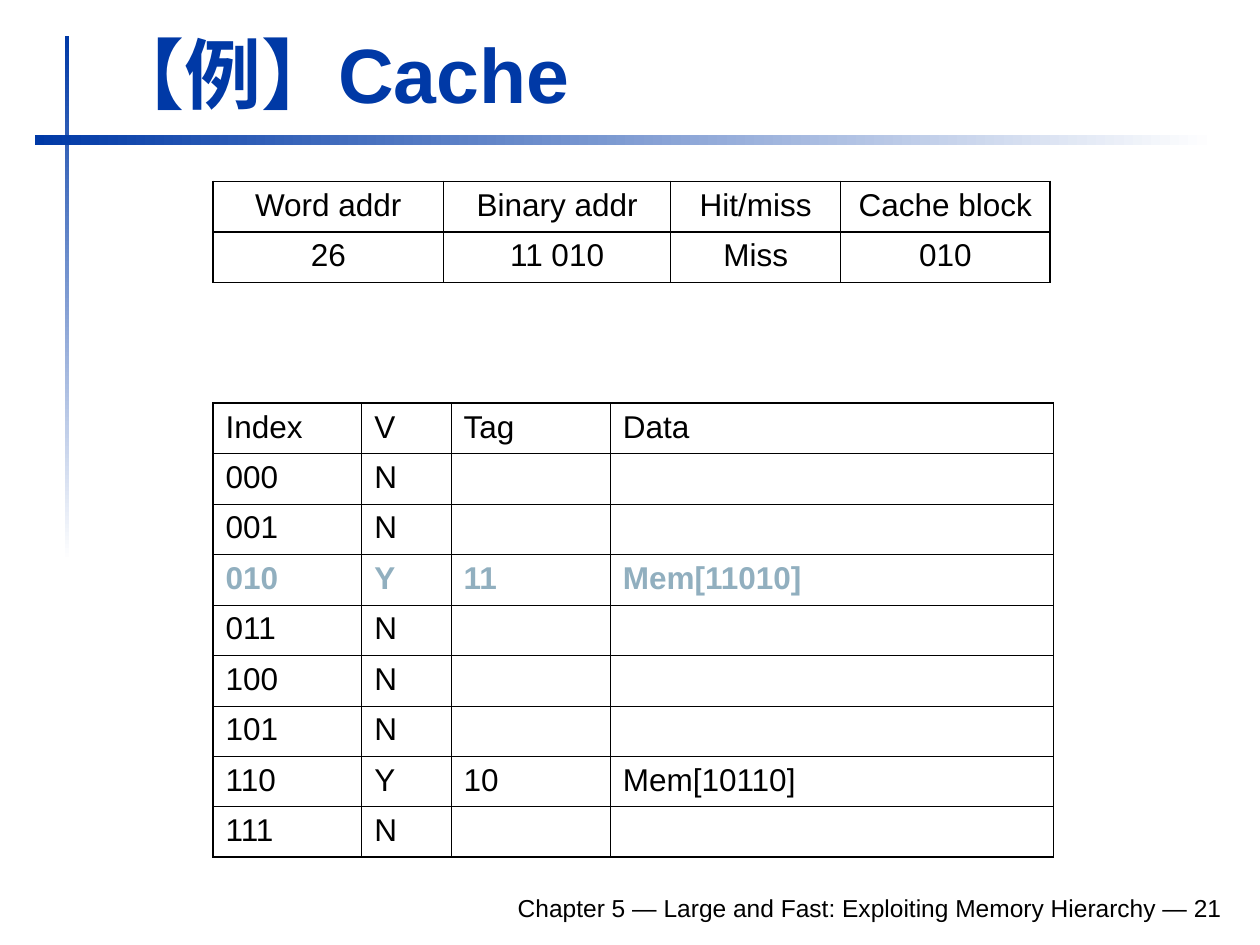
"""Build the cache example slide with an access table and the cache contents."""
from dataclasses import dataclass

from lxml import etree
from pptx import Presentation
from pptx.dml.color import RGBColor
from pptx.enum.shapes import MSO_SHAPE
from pptx.enum.text import MSO_ANCHOR, MSO_AUTO_SIZE, PP_ALIGN
from pptx.oxml.ns import qn
from pptx.util import Pt

RECTANGLE = MSO_SHAPE.RECTANGLE
BOTTOM = MSO_ANCHOR.BOTTOM
GROW = MSO_AUTO_SIZE.SHAPE_TO_FIT_TEXT
LEFT, CENTER, RIGHT = PP_ALIGN.LEFT, PP_ALIGN.CENTER, PP_ALIGN.RIGHT
TITLE_ONLY = 5
DOWNWARD, RIGHTWARD = 270, 0


@dataclass(frozen=True)
class Theme:
    """Colours, font, type sizes and line widths in points."""
    font: str = "Arial"
    blue: str = "0039A6"
    white: str = "FFFFFF"
    black: str = "000000"
    highlight: str = "91AFBF"
    title_size: int = 44
    table_size: int = 18
    footer_size: int = 14
    frame_line: float = 1.08
    header_line: float = 0.75
    grid_line: float = 0.45
    row_height: float = 28.8


def write_text(frame, text, *, font, size, color, bold=False, align=LEFT):
    """Put one formatted paragraph into a text frame."""
    para = frame.paragraphs[0]
    para.alignment = align
    span = para.add_run()
    span.text = text
    span.font.name = font
    span.font.size = Pt(size)
    span.font.bold = bold
    span.font.color.rgb = RGBColor.from_string(color)


class SlideBuilder:
    """Hold the theme and the current slide."""

    def __init__(self, page, theme):
        """Keep the slide and its theme."""
        self.page = page
        self.theme = theme

    def fading_bar(self, left, top, width, height, angle):
        """Add a bar that fades from blue to white."""
        bar = self.page.shapes.add_shape(
            RECTANGLE, Pt(left), Pt(top), Pt(width), Pt(height))
        bar.shadow.inherit = False
        bar.line.fill.background()
        bar.fill.gradient()
        bar.fill.gradient_angle = angle
        colors = (self.theme.blue, self.theme.white)
        for position, (stop, color) in enumerate(zip(bar.fill.gradient_stops, colors)):
            stop.position = position
            stop.color.rgb = RGBColor.from_string(color)

    def title(self, text, left, top, width, height):
        """Place and fill the title placeholder."""
        box = self.page.shapes.title
        box.left, box.top, box.width, box.height = map(Pt, (left, top, width, height))
        box.text_frame.vertical_anchor = BOTTOM
        box.text_frame.auto_size = GROW
        write_text(box.text_frame, text, font=self.theme.font,
                   size=self.theme.title_size, color=self.theme.blue, bold=True)

    def footer(self, text, left, top, width, height):
        """Add the right-aligned footer."""
        box = self.page.shapes.add_textbox(Pt(left), Pt(top), Pt(width), Pt(height))
        box.text_frame.word_wrap = True
        box.text_frame.vertical_anchor = BOTTOM
        write_text(box.text_frame, text, font=self.theme.font,
                   size=self.theme.footer_size, color=self.theme.black, align=RIGHT)

    def cell_borders(self, cell, widths):
        """Draw the left, right, top and bottom borders of a cell."""
        properties = cell._tc.get_or_add_tcPr()
        for side, width in zip("LRTB", widths):
            line = etree.SubElement(properties, qn(f"a:ln{side}"), w=str(Pt(width)))
            fill = etree.SubElement(line, qn("a:solidFill"))
            etree.SubElement(fill, qn("a:srgbClr"), val=self.theme.black)

    def table(self, rows, left, top, column_widths, align=LEFT, highlighted_row=None):
        """Add a framed table with a ruled header and an optional highlighted row."""
        theme = self.theme
        row_count, column_count = len(rows), len(column_widths)
        table = self.page.shapes.add_table(
            row_count, column_count, Pt(left), Pt(top),
            Pt(sum(column_widths)), Pt(theme.row_height * row_count)).table
        table.first_row = table.horz_banding = False
        for column, width in zip(table.columns, column_widths):
            column.width = Pt(width)
        inner_columns = [theme.grid_line] * (column_count - 1)
        inner_rows = [theme.header_line] + [theme.grid_line] * (row_count - 2)
        vertical = [theme.frame_line, *inner_columns, theme.frame_line]
        horizontal = [theme.frame_line, *inner_rows, theme.frame_line]
        for r, values in enumerate(rows):
            table.rows[r].height = Pt(theme.row_height)
            marked = r == highlighted_row
            for c, value in enumerate(values):
                cell = table.cell(r, c)
                self.cell_borders(cell, vertical[c:c + 2] + horizontal[r:r + 2])
                cell.fill.background()
                if value:
                    write_text(cell.text_frame, value, font=theme.font,
                               size=theme.table_size, bold=marked, align=align,
                               color=theme.highlight if marked else theme.black)


def main():
    """Compose the slide and save the deck."""
    deck = Presentation()
    deck.slide_width, deck.slide_height = Pt(720), Pt(540)
    page = deck.slides.add_slide(deck.slide_layouts[TITLE_ONLY])
    builder = SlideBuilder(page, Theme())

    builder.fading_bar(37, 20.5, 2.5, 300, DOWNWARD)
    builder.fading_bar(19.75, 77, 675, 6, RIGHTWARD)
    builder.footer("Chapter 5 — Large and Fast: Exploiting Memory Hierarchy — 21",
                   133.5, 502.5, 572, 28)
    builder.title("【例】Cache", 54, 11.5, 650, 60)

    cached = {"010": ("Y", "11", "Mem[11010]"), "110": ("Y", "10", "Mem[10110]")}
    indexes = [f"{number:03b}" for number in range(8)]
    contents = [("Index", "V", "Tag", "Data")]
    contents += [(index, *cached.get(index, ("N", "", ""))) for index in indexes]
    builder.table(contents, 121.75, 230.4, (85, 51, 91, 253.25),
                  highlighted_row=1 + indexes.index("010"))

    access = [("Word addr", "Binary addr", "Hit/miss", "Cache block"),
              ("26", "11 010", "Miss", "010")]
    builder.table(access, 121.75, 103.75, (131.75, 129.75, 97.25, 119.5), align=CENTER)
    deck.save("out.pptx")


if __name__ == "__main__":
    main()
